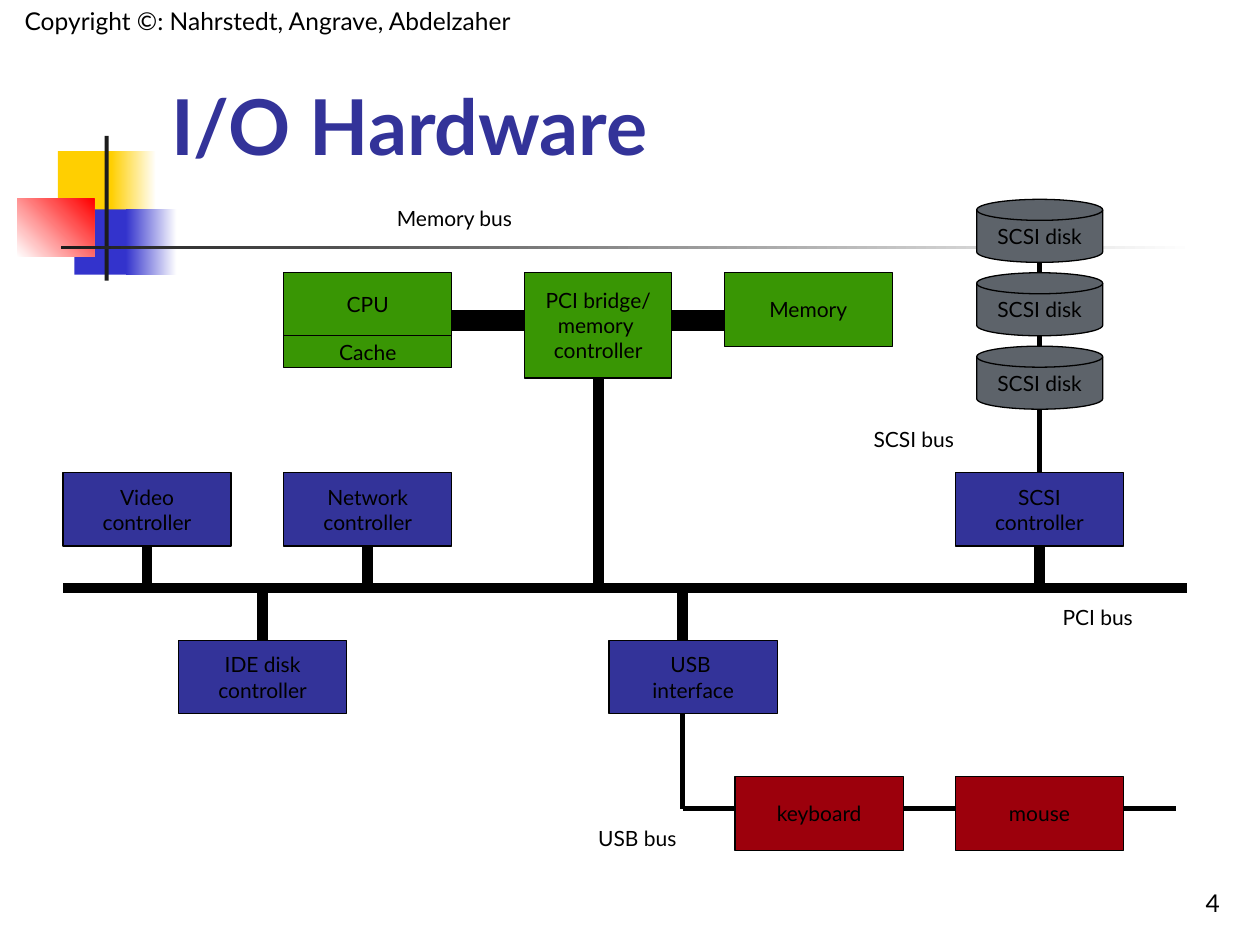
import copy

import pptx
import pptx.dml.color
import pptx.enum.shapes
import pptx.enum.text
import pptx.oxml.ns
import pptx.util
from pptx.util import Cm

SHAPE = pptx.enum.shapes.MSO_SHAPE
ANCHOR = pptx.enum.text.MSO_ANCHOR
ALIGN = pptx.enum.text.PP_ALIGN
BLACK, WHITE = "000000", "FFFFFF"
YELLOW, BRIGHT_BLUE, RED, CHARCOAL = "FFCF01", "3333CC", "FF0000", "1C1C1C"
BLUE, GREEN, DARK_RED, GREY = "333399", "399604", "9C000C", "5D636A"
BOX_WIDTH, BOX_HEIGHT = 3.39, 1.48
TOP_ROW, UPPER_ROW, PCI_BUS, LOWER_ROW, DEVICE_ROW = 5.5, 9.53, 11.85, 12.91, 15.66
USB_BUS = 16.3


def color(hex_string):
    return pptx.dml.color.RGBColor.from_string(hex_string)


def set_attributes(target, values):
    for name, value in values.items():
        setattr(target, name, value)


def write_text(shape, text, size=12, font_color=BLACK, bold=False,
               align=ALIGN.LEFT, anchor=ANCHOR.TOP, wrap=False):
    frame = shape.text_frame
    set_attributes(frame, {"word_wrap": wrap, "vertical_anchor": anchor})
    paragraph = frame.paragraphs[0]
    set_attributes(paragraph, {"text": text, "alignment": align})
    for run in paragraph.runs:
        set_attributes(run.font, {"name": "Lato", "size": pptx.util.Pt(size), "bold": bold})
        run.font.color.rgb = color(font_color)
    run_properties = paragraph.runs[0].font._element
    for line_break in paragraph._p.findall(pptx.oxml.ns.qn("a:br")):
        line_break.append(copy.deepcopy(run_properties))


def add_text(slide, text, left, top, width, height=0.76, **text_format):
    box = slide.shapes.add_textbox(Cm(left), Cm(top), Cm(width), Cm(height))
    write_text(box, text, **text_format)


def add_decoration(slide, left, top, width, height, colors, angle=0):
    shape = slide.shapes.add_shape(SHAPE.RECTANGLE, Cm(left), Cm(top), Cm(width), Cm(height))
    shape.shadow.inherit = False
    shape.line.fill.background()
    if len(colors) == 1:
        shape.fill.solid()
        shape.fill.fore_color.rgb = color(colors[0])
        return
    shape.fill.gradient()
    shape.fill.gradient_angle = angle
    for stop, stop_color in zip(shape.fill.gradient_stops, colors):
        stop.color.rgb = color(stop_color)


def add_component(slide, text, left, top, fill, width=BOX_WIDTH, height=BOX_HEIGHT,
                  kind=SHAPE.RECTANGLE):
    shape = slide.shapes.add_shape(kind, Cm(left), Cm(top), Cm(width), Cm(height))
    shape.shadow.inherit = False
    shape.fill.solid()
    shape.fill.fore_color.rgb = color(fill)
    shape.line.color.rgb = color(BLACK)
    shape.line.width = pptx.util.Pt(0.75)
    write_text(shape, text, align=ALIGN.CENTER, anchor=ANCHOR.MIDDLE)


def add_line(slide, start_x, start_y, end_x, end_y, weight=6):
    connector = slide.shapes.add_connector(
        pptx.enum.shapes.MSO_CONNECTOR.STRAIGHT,
        Cm(start_x), Cm(start_y), Cm(end_x), Cm(end_y))
    connector.line.color.rgb = color(BLACK)
    connector.line.width = pptx.util.Pt(weight)
    properties = connector._element.spPr
    properties.append(properties.makeelement(pptx.oxml.ns.qn("a:effectLst"), {}))


def add_theme_decorations(slide):
    for left, top, width, height, colors, angle in [
        (1.17, 3.05, 1.22, 1.32, [YELLOW], 0),
        (2.24, 3.05, 0.91, 1.32, [YELLOW, WHITE], 0),
        (1.5, 4.22, 1.17, 1.32, [BRIGHT_BLUE], 0),
        (2.54, 4.22, 1.02, 1.32, [BRIGHT_BLUE, WHITE], 0),
        (0.35, 4.01, 1.55, 1.17, [WHITE, RED], 45),
        (2.11, 2.74, 0.08, 2.92, [CHARCOAL], 0),
        (1.23, 4.95, 22.86, 0.08, [CHARCOAL, WHITE], 0),
    ]:
        add_decoration(slide, left, top, width, height, colors, angle)


def add_buses(slide):
    add_line(slide, 20.96, UPPER_ROW, 20.96, 5.28, 3)
    add_line(slide, 13.76, LOWER_ROW + BOX_HEIGHT, 13.76, USB_BUS, 3)
    add_line(slide, 13.76, USB_BUS, 23.71, USB_BUS, 3)
    for memory_bus in (6.56, 6.35):
        add_line(slide, 9.1, memory_bus, 14.6, memory_bus)
    add_line(slide, 1.27, PCI_BUS, 23.92, PCI_BUS)
    for x in (2.96, 7.41, 20.96):
        add_line(slide, x, UPPER_ROW + BOX_HEIGHT, x, PCI_BUS)
    for x in (5.29, 13.76):
        add_line(slide, x, PCI_BUS, x, LOWER_ROW)
    add_line(slide, 12.07, PCI_BUS, 12.07, 7.62)


def add_components(slide):
    for text, left, top, fill in [
        ("Video\ncontroller", 1.27, UPPER_ROW, BLUE),
        ("Network\ncontroller", 5.72, UPPER_ROW, BLUE),
        ("SCSI\ncontroller", 19.26, UPPER_ROW, BLUE),
        ("IDE disk\ncontroller", 3.6, LOWER_ROW, BLUE),
        ("USB \ninterface", 12.28, LOWER_ROW, BLUE),
        ("keyboard", 14.82, DEVICE_ROW, DARK_RED),
        ("mouse", 19.26, DEVICE_ROW, DARK_RED),
        ("Memory", 14.6, TOP_ROW, GREEN),
    ]:
        add_component(slide, text, left, top, fill)
    add_component(slide, "CPU", 5.72, TOP_ROW, GREEN, height=1.27)
    add_component(slide, "Cache", 5.72, TOP_ROW + 1.27, GREEN, height=0.64)
    add_component(slide, "PCI bridge/\nmemory \ncontroller", 10.58, TOP_ROW, GREEN,
                  width=2.96, height=2.12)
    for index in reversed(range(3)):
        add_component(slide, "SCSI disk", 19.69, 4.02 + index * 1.48, GREY,
                      width=2.54, height=1.27, kind=SHAPE.FLOWCHART_MAGNETIC_DISK)


def add_labels(slide):
    for text, left, top, width in [
        ("PCI bus", 21.17, 12.07, 2.01),
        ("USB bus", 11.81, 16.51, 2.16),
        ("SCSI bus", 17.36, 8.47, 2.21),
        ("Memory bus", 7.75, 4.02, 3.0),
    ]:
        add_text(slide, text, left, top, width)


def main():
    presentation = pptx.Presentation()
    set_attributes(presentation, {"slide_width": Cm(25.4), "slide_height": Cm(19.05)})
    slide = presentation.slides.add_slide(presentation.slide_layouts[6])
    add_theme_decorations(slide)
    add_text(slide, "Copyright ©: Nahrstedt, Angrave, Abdelzaher", 0, 0, 10.8, 0.84,
             size=14, align=ALIGN.CENTER, anchor=ANCHOR.BOTTOM, wrap=True)
    add_text(slide, "4", 19.56, 17.35, 5.28, 1.27,
             size=14, align=ALIGN.RIGHT, anchor=ANCHOR.BOTTOM, wrap=True)
    add_text(slide, "I/O Hardware", 3.2, 0.58, 21.64, 3.0, size=44, font_color=BLUE,
             bold=True, anchor=ANCHOR.BOTTOM, wrap=True)
    add_buses(slide)
    add_components(slide)
    add_labels(slide)
    presentation.save("out.pptx")


if __name__ == "__main__":
    main()
